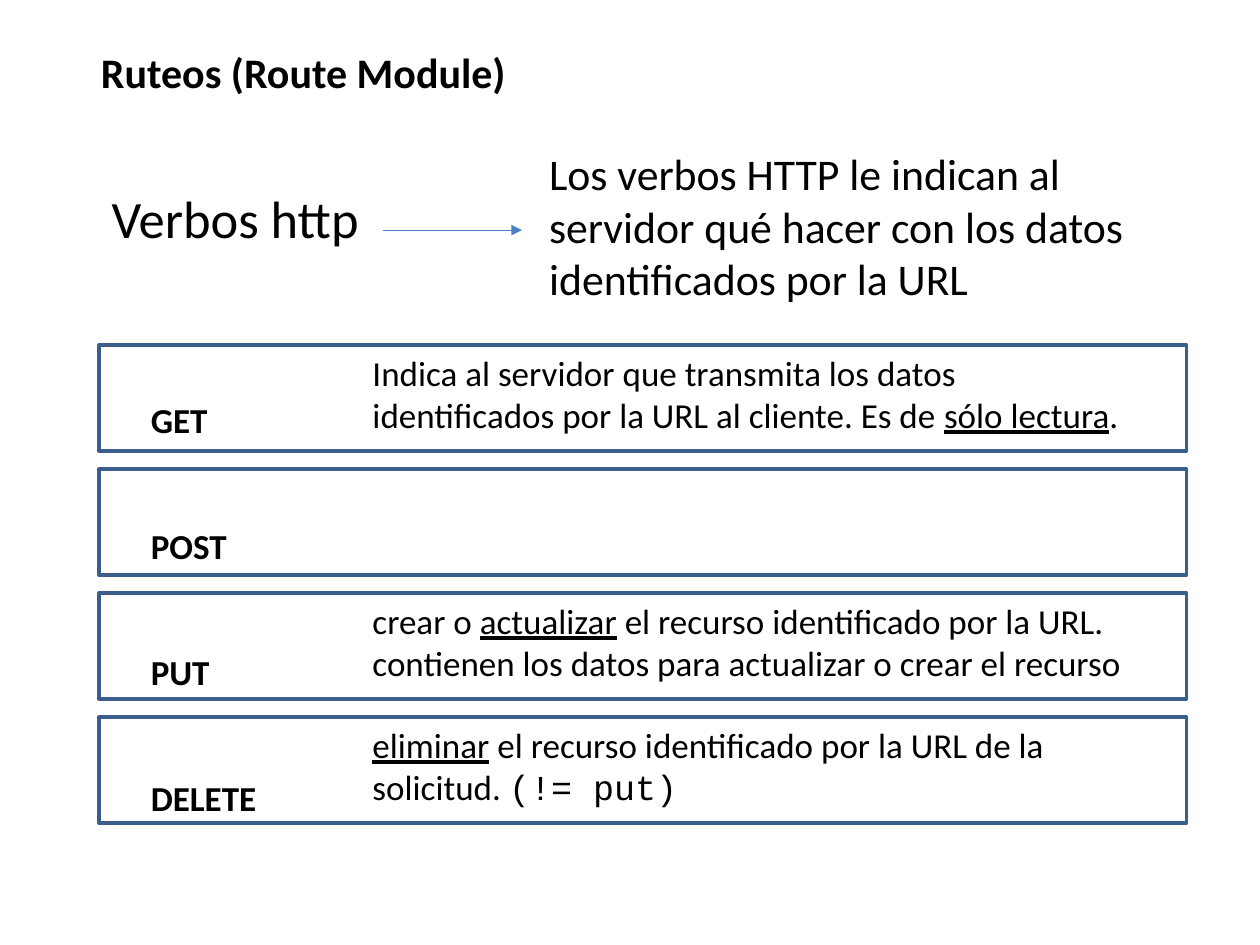
from lxml import etree
from pptx import Presentation
from pptx import util as u
from pptx.dml.color import RGBColor
from pptx.enum import shapes, text
from pptx.oxml.ns import qn

BLACK, FRAME, ARROW = "000000", "3A5F8C", "4B7EBC"
SANS, MONO = "Calibri", "Courier New"
VERBS = ["GET", "POST", "PUT", "DELETE"]
DETAILS = {
    "GET": (15.6, [
        ("Indica al servidor que transmita los datos identificados por la URL al cliente. Es de ", {}),
        ("sólo lectura", {"underline": True}),
        (".", {}),
    ]),
    "PUT": (16.23, [
        ("crear o ", {}),
        ("actualizar", {"underline": True}),
        (" el recurso identificado por la URL. contienen los datos para actualizar o crear el recurso", {}),
    ]),
    "DELETE": (15.6, [
        ("eliminar", {"underline": True}),
        (" el recurso identificado por la URL de la solicitud. ", {}),
        ("(!= put)", {"name": MONO}),
    ]),
}


def colour(code):
    """Turn a hex string into a colour."""
    return RGBColor.from_string(code)


def place(item, left, top, width, height):
    """Move and size an item, in centimetres."""
    item.left, item.top = u.Cm(left), u.Cm(top)
    item.width, item.height = u.Cm(width), u.Cm(height)


def style(span, size, bold=False, underline=None, name=SANS):
    """Format one run of text."""
    font = span.font
    font.size, font.bold, font.underline, font.name = u.Pt(size), bold, underline, name
    font.color.rgb = colour(BLACK)


def add_text(page, left, top, width, height, paragraphs, size, bold=False, spacing=None):
    """Add a wrapped text box; each paragraph is a list of (words, format) pairs."""
    box = page.shapes.add_textbox(u.Cm(left), u.Cm(top), u.Cm(width), u.Cm(height))
    box.text_frame.word_wrap = True
    for index, pieces in enumerate(paragraphs):
        para = box.text_frame.paragraphs[0] if index == 0 else box.text_frame.add_paragraph()
        para.line_spacing = spacing
        for words, extra in pieces:
            span = para.add_run()
            span.text = words
            style(span, size, bold, **extra)


def add_title(page, left, top, width, height):
    """Fill the title placeholder."""
    title = page.shapes.title
    place(title, left, top, width, height)
    frame = title.text_frame
    frame.text = "Ruteos (Route Module)"
    frame.vertical_anchor = text.MSO_ANCHOR.TOP
    frame.auto_size = text.MSO_AUTO_SIZE.NONE
    para = frame.paragraphs[0]
    para.alignment = text.PP_ALIGN.LEFT
    style(para.runs[0], 24, bold=True)


def add_arrow(page, left, top, length):
    """Draw a thin horizontal arrow."""
    line = page.shapes.add_connector(
        shapes.MSO_CONNECTOR.STRAIGHT, u.Cm(left), u.Cm(top), u.Cm(left + length), u.Cm(top))
    line.line.color.rgb = colour(ARROW)
    line.line.width = u.Pt(0.75)
    etree.SubElement(line.line._get_or_add_ln(), qn("a:tailEnd"), type="triangle")
    etree.SubElement(line._element.spPr, qn("a:effectLst"))


def add_definition(page, left, top):
    """Place the term, the arrow and its definition."""
    add_text(page, left, top + 0.79, 6.32, 1.55, [[("Verbos http", {})]], 30)
    add_arrow(page, left + 5.72, top + 1.8, 2.8)
    definition = "Los verbos HTTP le indican al servidor qué hacer con los datos identificados por la URL"
    add_text(page, left + 8.82, top, 13.59, 3.45, [[(definition, {})]], 25)


def add_verbs(page, left, top, width, height, pitch):
    """Place the framed rows with verb names and details."""
    names = [[(verb, {})] for verb in VERBS]
    add_text(page, left + 0.79, top - 0.74, 3.43, 10.52, names, 20, bold=True, spacing=3)
    for row, verb in enumerate(VERBS):
        row_top = top + row * pitch
        frame = page.shapes.add_shape(
            shapes.MSO_SHAPE.RECTANGLE, u.Cm(left), u.Cm(row_top), u.Cm(width), u.Cm(height))
        frame.shadow.inherit = False
        frame.fill.background()
        frame.line.color.rgb = colour(FRAME)
        frame.line.width = u.Pt(2)
        if verb in DETAILS:
            text_width, pieces = DETAILS[verb]
            add_text(page, left + 5.26, row_top, text_width, 1.96, [pieces], 20)


def main():
    """Build and save the deck."""
    deck = Presentation()
    deck.slide_width, deck.slide_height = u.Cm(25.4), u.Cm(19.05)
    page = deck.slides.add_slide(deck.slide_layouts.get_by_name("Title Only"))
    add_title(page, 1.78, 0.8, 22.63, 1.28)
    add_definition(page, 2, 2.84)
    add_verbs(page, 2, 6.96, 21.92, 2.13, 2.5)
    deck.save("out.pptx")


if __name__ == "__main__":
    main()
